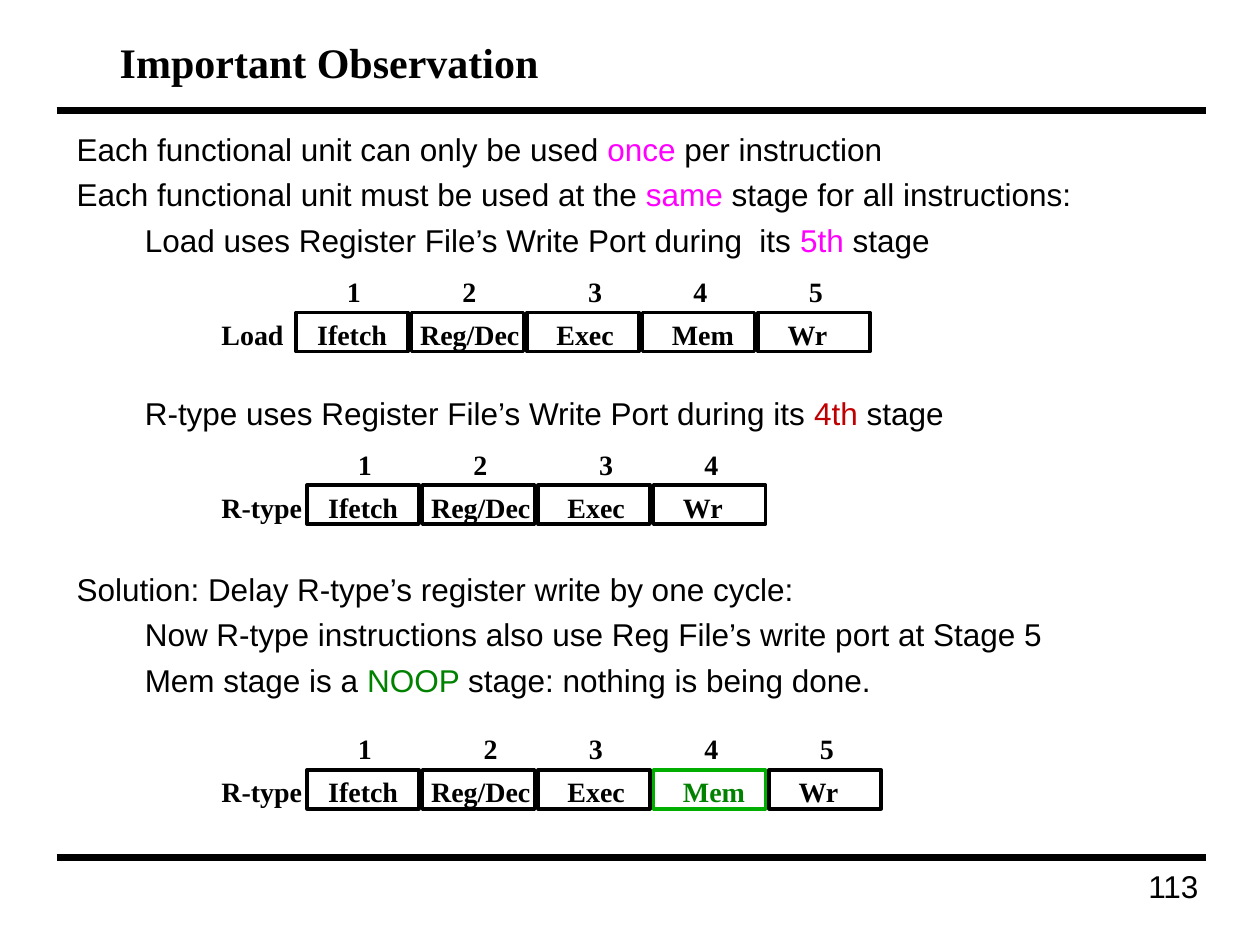
from dataclasses import dataclass

from lxml import etree
from pptx import Presentation
from pptx.dml.color import RGBColor
from pptx.enum.shapes import MSO_CONNECTOR, MSO_SHAPE
from pptx.enum.text import PP_ALIGN
from pptx.oxml.ns import qn
from pptx.util import Pt


@dataclass(frozen=True)
class Theme:
    sans: str = "Arial"
    serif: str = "Times New Roman"
    title_size: float = 24
    body_size: float = 18
    label_size: float = 16
    ink: str = "000000"
    pink: str = "FF00FF"
    red: str = "C00000"
    green: str = "008200"
    outline_green: str = "00AE00"


THEME = Theme()
TITLE = {"name": THEME.serif, "size": Pt(THEME.title_size), "bold": True}
BODY = {"name": THEME.sans, "size": Pt(THEME.body_size), "bold": False}
LABEL = {"name": THEME.serif, "size": Pt(THEME.label_size), "bold": True}

# Body text geometry
LINE_PITCH = 25.14
BODY_TOP = 72
SPACE_BEFORE = 4.45
INDENTS = [(15.8, -15.8), (54, -15.1)]

# Pipeline geometry
CELL_PITCH, CELL_WIDTH, CELL_HEIGHT = 66, 64, 22.3
LABEL_LEFT, LABEL_HEIGHT = 119.5, 26
NUMBER_RISE, NUMBER_INSET, NUMBER_WIDTH = 25.2, 22, 22
LATE_SHIFT = 5.8
# Stage name: (inset of its label from the cell, width of the label)
STAGES = {"Ifetch": (5, 55), "Reg/Dec": (-2.2, 71), "Exec": (9.7, 47),
          "Mem": (9.7, 50), "Wr": (9.7, 37.5)}
ROW_NAME_WIDTHS = {"Load": 50, "R-type": 60.5}


class SlideWriter:
    def __init__(self, slide, theme):
        self.slide = slide
        self.theme = theme

    def rule(self, left, right, top):
        line = self.slide.shapes.add_connector(
            MSO_CONNECTOR.STRAIGHT, Pt(left), Pt(top), Pt(right), Pt(top))
        line.line.color.rgb = RGBColor.from_string(self.theme.ink)
        line.line.width = Pt(4)
        etree.SubElement(line._element.spPr, qn("a:effectLst"))

    def box(self, left, top, width, height, margins=(7.2, 3.6), wrap=False):
        box = self.slide.shapes.add_textbox(Pt(left), Pt(top), Pt(width), Pt(height))
        across, down = margins
        frame = box.text_frame
        settings = {"word_wrap": wrap, "margin_left": Pt(across), "margin_right": Pt(across),
                    "margin_top": Pt(down), "margin_bottom": Pt(down)}
        for name, value in settings.items():
            setattr(frame, name, value)
        return frame

    def span(self, para, text, font, color=None):
        span = para.add_run()
        span.text = text
        for name, value in font.items():
            setattr(span.font, name, value)
        span.font.color.rgb = RGBColor.from_string(color or self.theme.ink)

    def label(self, text, left, top, width, height=LABEL_HEIGHT, font=LABEL,
              color=None, align=PP_ALIGN.LEFT, **frame_options):
        para = self.box(left, top, width, height, **frame_options).paragraphs[0]
        para.alignment = align
        self.span(para, text, font, color)

    def body(self, first_line, lines):
        """Lines are (level, spans); a span is (text, color)."""
        frame = self.box(38.9, BODY_TOP + first_line * LINE_PITCH, 645,
                         len(lines) * LINE_PITCH, margins=(5, 2.2), wrap=True)
        for index, (level, spans) in enumerate(lines):
            para = frame.add_paragraph() if index else frame.paragraphs[0]
            para.level = level
            margin, indent = INDENTS[level]
            properties = para._p.get_or_add_pPr()
            properties.set("marL", str(Pt(margin)))
            properties.set("indent", str(Pt(indent)))
            if index:
                para.space_before = Pt(SPACE_BEFORE)
            for text, color in spans:
                self.span(para, text, BODY, color)

    def cell(self, left, top, color):
        cell = self.slide.shapes.add_shape(
            MSO_SHAPE.RECTANGLE, Pt(left), Pt(top), Pt(CELL_WIDTH), Pt(CELL_HEIGHT))
        cell.shadow.inherit = False
        cell.fill.background()
        cell.line.color.rgb = RGBColor.from_string(color)
        cell.line.width = Pt(2)

    def pipeline(self, name, left, top, stages, late_number, idle=None):
        """Draw one row of stages; late_number is the number set further right."""
        text_top = top - 0.7
        self.label(name, LABEL_LEFT, text_top, ROW_NAME_WIDTHS[name])
        # The idle stage comes last so that its outline lies on top
        for index, stage in sorted(enumerate(stages), key=lambda item: item[1] == idle):
            cell_left = left + index * CELL_PITCH
            is_idle = stage == idle
            self.cell(cell_left, top, self.theme.outline_green if is_idle else self.theme.ink)
            inset, width = STAGES[stage]
            self.label(stage, cell_left + inset, text_top, width,
                       color=self.theme.green if is_idle else None)
            number = index + 1
            shift = LATE_SHIFT if number == late_number else 0
            self.label(str(number), cell_left + NUMBER_INSET + shift,
                       top - NUMBER_RISE, NUMBER_WIDTH)


def main():
    deck = Presentation()
    deck.slide_width, deck.slide_height = Pt(720), Pt(540)
    page = SlideWriter(deck.slides.add_slide(deck.slide_layouts[6]), THEME)

    # Frame: rules, page number and title
    for top in (63.3, 490.3):
        page.rule(32.4, 689, top)
    page.label("113", 544.3, 491.8, 147.6, 35.3, font=BODY, align=PP_ALIGN.RIGHT, wrap=True)
    page.label("Important Observation", 63.4, 18.5, 267, 29, font=TITLE, margins=(5, 2.2))

    # Body text, placed by line number
    page.body(0, [
        (0, [("Each functional unit can only be used ", None), ("once", THEME.pink),
             (" per instruction", None)]),
        (0, [("Each functional unit must be used at the ", None), ("same", THEME.pink),
             (" stage for all instructions:", None)]),
        (1, [("Load uses Register File’s Write Port during  its ", None),
             ("5th", THEME.pink), (" stage", None)]),
    ])
    page.body(6, [
        (1, [("R-type uses Register File’s Write Port during its ", None),
             ("4th", THEME.red), (" stage", None)]),
    ])
    page.body(10, [
        (0, [("Solution: Delay R-type’s register write by one cycle:", None)]),
        (1, [("Now R-type instructions also use Reg File’s write port at Stage 5", None)]),
        (1, [("Mem stage is a ", None), ("NOOP ", THEME.green),
             ("stage: nothing is being done.", None)]),
    ])

    # Pipelines
    all_stages = list(STAGES)
    without_mem = [stage for stage in all_stages if stage != "Mem"]
    page.pipeline("Load", 169.2, 178.6, all_stages, late_number=3)
    page.pipeline("R-type", 175.5, 277.2, without_mem, late_number=3)
    page.pipeline("R-type", 175.5, 439.9, all_stages, late_number=2, idle="Mem")

    deck.save("out.pptx")


if __name__ == "__main__":
    main()
